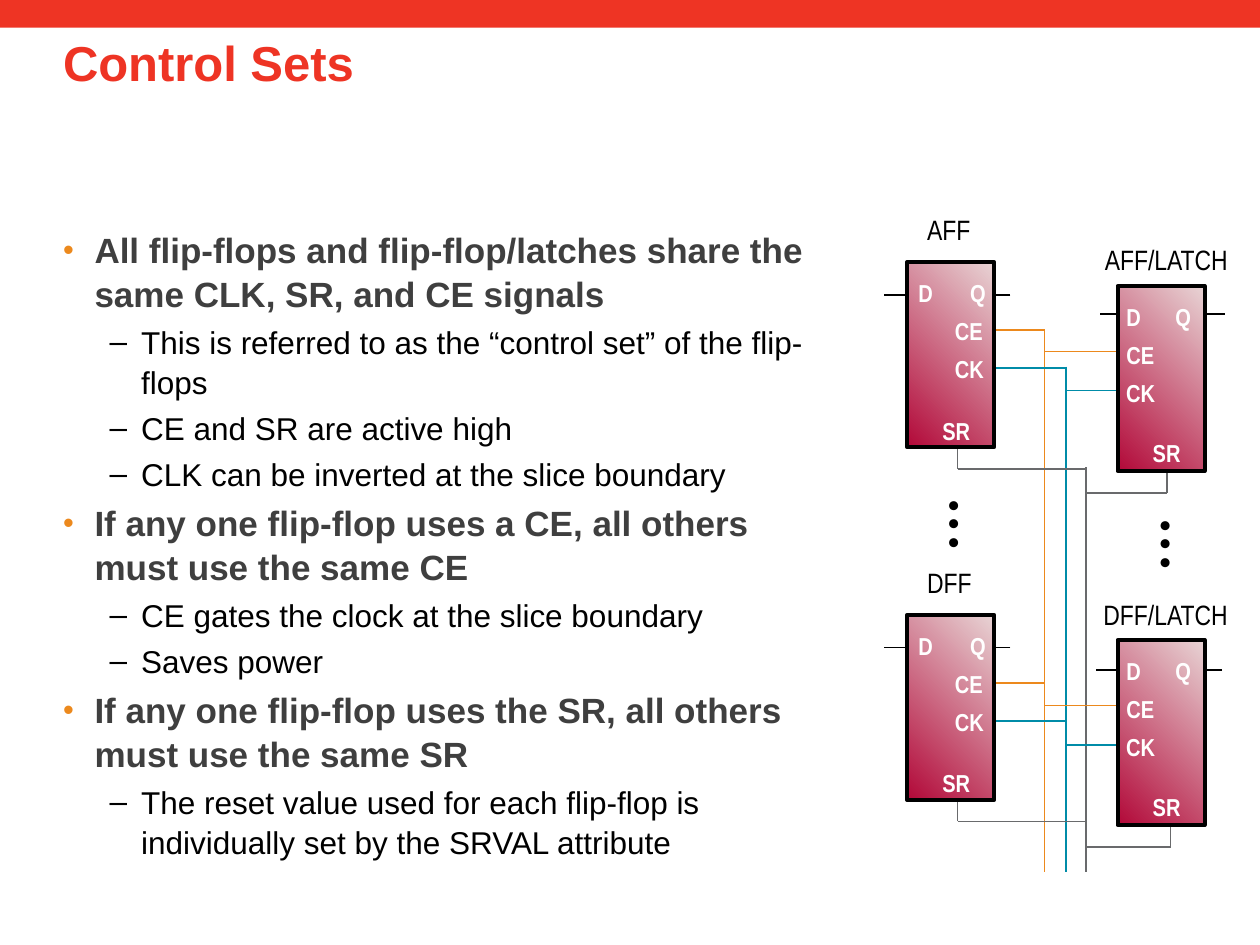
from dataclasses import dataclass

from lxml import etree
from pptx import Presentation
from pptx.dml.color import RGBColor
from pptx.enum import shapes, text
from pptx.oxml import ns
from pptx.util import Inches, Pt

COLORS = {
    "red": "EE3424", "orange": "EC891D", "teal": "008CA8", "gray": "696A6C",
    "heading": "3F3F3F", "black": "000000", "white": "FFFFFF",
    "cell_dark": "B20838", "cell_light": "E8D4D5",
}
BODY = [
    (0, "All flip-flops and flip-flop/latches share the same CLK, SR, and CE signals"),
    (1, "This is referred to as the “control set” of the flip-flops"),
    (1, "CE and SR are active high"),
    (1, "CLK can be inverted at the slice boundary"),
    (0, "If any one flip-flop uses a CE, all others must use the same CE"),
    (1, "CE gates the clock at the slice boundary"),
    (1, "Saves power"),
    (0, "If any one flip-flop uses the SR, all others must use the same SR"),
    (1, "The reset value used for each flip-flop is individually set by the SRVAL attribute"),
]
# Per level: size, colour, bold, indent, bullet, bullet colour, bullet size
LEVELS = [
    (20, "heading", True, 0.25, "•", "orange", 88),
    (18, "black", False, 0.62, "–", "black", 100),
]
# Per signal: bus x, bus top, bus colour
BUSES = {
    "CE": (8.29, 2.62, "orange"),
    "CK": (8.46, 2.91, "teal"),
    "SR": (8.62, 3.71, "gray"),
}
BUS_BOTTOM = 6.92
CELL_WIDTH, CELL_HEIGHT = 0.69, 1.47
# Pin label offsets from the top left corner of a cell
LEFT_PINS = {"D": (-0.01, 0.08), "Q": (0.4, 0.08), "CE": (0.28, 0.38),
             "CK": (0.28, 0.68), "SR": (0.18, 1.17)}
RIGHT_PINS = {"D": (-0.03, 0.08), "Q": (0.36, 0.08), "CE": (-0.03, 0.38),
              "CK": (-0.03, 0.68), "SR": (0.18, 1.16)}
PIN_WIDTHS = {"D": 0.32, "Q": 0.32, "CE": 0.42, "CK": 0.43, "SR": 0.42}


@dataclass
class Cell:
    """A flip-flop; data_y, ce_y, ck_y and sr_x are offsets from its corner."""
    name: str
    left: float
    top: float
    label: tuple
    pins: dict
    data_y: float
    ce_y: float
    ck_y: float
    sr_x: float
    stubs: tuple


CELLS = [
    Cell("AFF", 7.2, 2.08, (7.26, 1.64, 0.55), LEFT_PINS, 0.26, 0.54, 0.84, 0.4, (0.18, 0.13)),
    Cell("DFF", 7.2, 4.88, (7.26, 4.44, 0.56), LEFT_PINS, 0.26, 0.54, 0.84, 0.4, (0.18, 0.13)),
    Cell("AFF/LATCH", 8.87, 2.27, (8.67, 1.88, 1.19), RIGHT_PINS, 0.22, 0.52, 0.83, 0.39, (0.14, 0.16)),
    Cell("DFF/LATCH", 8.87, 5.08, (8.66, 4.69, 1.2), RIGHT_PINS, 0.24, 0.52, 0.83, 0.42, (0.17, 0.14)),
]


def rgb(color):
    return RGBColor.from_string(COLORS[color])


def format_runs(paragraph, size, color, bold=False, font="Arial"):
    for run in paragraph.runs:
        run.font.name = font
        run.font.size = Pt(size)
        run.font.bold = bold
        run.font.color.rgb = rgb(color)


def add_rectangle(slide, left, top, width, height):
    shape = slide.shapes.add_shape(
        shapes.MSO_SHAPE.RECTANGLE, Inches(left), Inches(top), Inches(width), Inches(height))
    shape.shadow.inherit = False
    return shape


def add_label(slide, box, wording, size, color, bold=False, font="Arial Narrow"):
    """Add one line of text that does not wrap."""
    label = slide.shapes.add_textbox(*map(Inches, box))
    frame = label.text_frame
    frame.text = wording
    frame.word_wrap = False
    frame.auto_size = text.MSO_AUTO_SIZE.SHAPE_TO_FIT_TEXT
    format_runs(frame.paragraphs[0], size, color, bold, font)
    return label


def add_line(slide, start, end, color, width=1):
    line = slide.shapes.add_connector(
        shapes.MSO_CONNECTOR.STRAIGHT, *map(Inches, (*start, *end)))
    line.line.color.rgb = rgb(color)
    line.line.width = Pt(width)
    etree.SubElement(line._element.spPr, ns.qn("a:effectLst"))


def set_bullet(paragraph, indent, character, color, percent):
    properties = paragraph._p.get_or_add_pPr()
    properties.set("marL", str(Inches(indent)))
    properties.set("indent", str(-Inches(0.25)))
    bullet_color = etree.SubElement(properties, ns.qn("a:buClr"))
    etree.SubElement(bullet_color, ns.qn("a:srgbClr"), val=COLORS[color])
    etree.SubElement(properties, ns.qn("a:buSzPct"), val=str(percent * 1000))
    etree.SubElement(properties, ns.qn("a:buFont"), typeface="Arial")
    etree.SubElement(properties, ns.qn("a:buChar"), char=character)


def add_header(slide, left, top, width, height):
    bar = add_rectangle(slide, 0, 0, 10, 0.22)
    bar.fill.solid()
    bar.fill.fore_color.rgb = rgb("red")
    bar.line.fill.background()
    title = slide.shapes.title
    title.left, title.top, title.width, title.height = map(Inches, (left, top, width, height))
    frame = title.text_frame
    frame.text = "Control Sets"
    frame.margin_left = 0
    frame.vertical_anchor = text.MSO_ANCHOR.TOP
    paragraph = frame.paragraphs[0]
    paragraph.alignment = text.PP_ALIGN.LEFT
    paragraph.line_spacing = 0.98
    format_runs(paragraph, 28, "red", True)


def add_body(slide, left, top, width, height):
    frame = slide.shapes.add_textbox(*map(Inches, (left, top, width, height))).text_frame
    frame.word_wrap = True
    frame.margin_left = 0
    for index, (level, wording) in enumerate(BODY):
        paragraph = frame.add_paragraph() if index else frame.paragraphs[0]
        size, color, bold, *bullet = LEVELS[level]
        paragraph.text = wording
        paragraph.level = level
        paragraph.line_spacing = 1.05
        paragraph.space_before = Pt(size * 0.2)
        set_bullet(paragraph, *bullet)
        format_runs(paragraph, size, color, bold)


def add_wires(slide, cell):
    """Draw the data stubs of a cell and join its control pins to the buses."""
    right = cell.left + CELL_WIDTH
    data_y = cell.top + cell.data_y
    add_line(slide, (cell.left, data_y), (cell.left - cell.stubs[0], data_y), "black")
    add_line(slide, (right + cell.stubs[1], data_y), (right, data_y), "black")
    for signal, offset in (("CE", cell.ce_y), ("CK", cell.ck_y)):
        bus_x, _, color = BUSES[signal]
        side = right if right < bus_x else cell.left
        add_line(slide, (side, cell.top + offset), (bus_x, cell.top + offset), color)
    bus_x, _, color = BUSES["SR"]
    reset_x, reset_y = cell.left + cell.sr_x, cell.top + 1.64
    add_line(slide, (reset_x, cell.top + CELL_HEIGHT), (reset_x, reset_y), color)
    add_line(slide, (reset_x, reset_y), (bus_x, reset_y), color)


def add_cell(slide, cell):
    add_wires(slide, cell)
    block = add_rectangle(slide, cell.left, cell.top, CELL_WIDTH, CELL_HEIGHT)
    block.fill.gradient()
    block.fill.gradient_angle = 45
    for stop, color in zip(block.fill.gradient_stops, ("cell_dark", "cell_light")):
        stop.color.rgb = rgb(color)
    block.line.color.rgb = rgb("black")
    block.line.width = Pt(2.25)
    for pin, (x, y) in cell.pins.items():
        add_label(slide, (cell.left + x, cell.top + y, PIN_WIDTHS[pin], 0.33),
                  pin, 14, "white", True)
    add_label(slide, (*cell.label, 0.37), cell.name, 16, "black")


def add_circuit(slide):
    for bus_x, bus_top, color in BUSES.values():
        add_line(slide, (bus_x, bus_top), (bus_x, BUS_BOTTOM), color, 0.75)
    for cell in CELLS:
        add_cell(slide, cell)
    for left, top in ((7.25, 4.01), (8.93, 4.17)):
        dots = add_label(slide, (left, top, 0.6, 0.3), "● ● ●", 12, "black", font="Arial")
        dots.text_frame.paragraphs[0].alignment = text.PP_ALIGN.CENTER
        dots.rotation = 270


def main():
    presentation = Presentation()
    presentation.slide_width, presentation.slide_height = Inches(10), Inches(7.5)
    slide = presentation.slides.add_slide(presentation.slide_layouts[5])
    add_header(slide, 0.5, 0.23, 9, 1.25)
    add_body(slide, 0.5, 1.75, 6.15, 5.25)
    add_circuit(slide)
    presentation.save("out.pptx")


if __name__ == "__main__":
    main()
